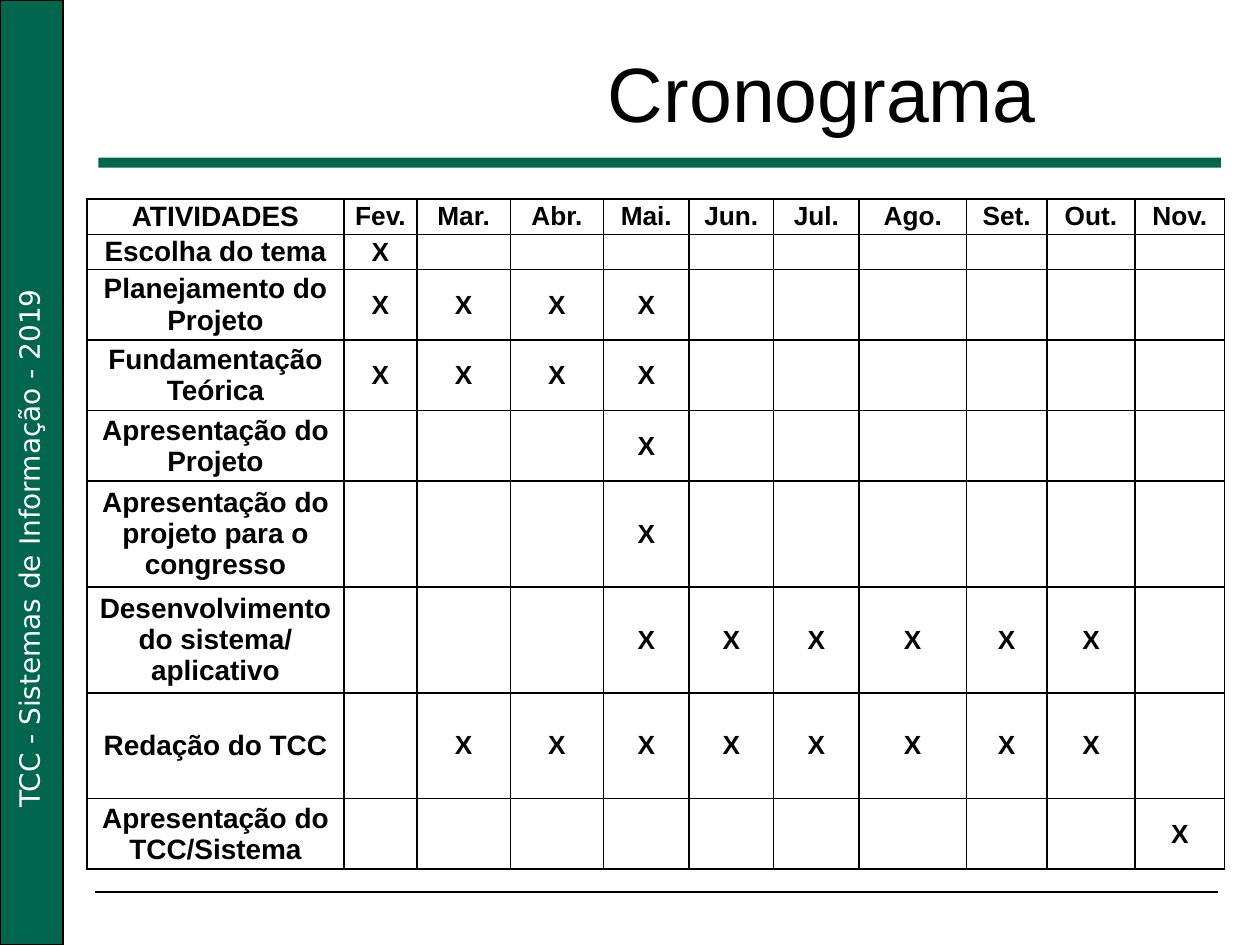
from lxml import etree
from pptx import Presentation
from pptx import util as u
from pptx.dml.color import RGBColor
from pptx.enum import shapes, text
from pptx.oxml import ns

GREEN, BLACK, WHITE = "00664D", "000000", "FFFFFF"
MONTHS = ["Fev.", "Mar.", "Abr.", "Mai.", "Jun.", "Jul.", "Ago.", "Set.", "Out.", "Nov."]
# activity, row height, first and last marked month (counted from 1)
ACTIVITIES = [
    ("Escolha do tema", 0.28, 1, 1),
    ("Planejamento do Projeto", 0.56, 1, 4),
    ("Fundamentação Teórica", 0.56, 1, 4),
    ("Apresentação do Projeto", 0.56, 4, 4),
    ("Apresentação do projeto para o congresso", 0.84, 4, 4),
    ("Desenvolvimento do sistema/ aplicativo", 0.84, 4, 9),
    ("Redação do TCC", 0.84, 2, 9),
    ("Apresentação do TCC/Sistema", 0.56, 10, 10),
]
COLUMN_WIDTHS = [2.04, 0.58, 0.74, 0.74, 0.68, 0.67, 0.68, 0.85, 0.64, 0.7, 0.71]
HEADER_HEIGHT = 0.28
CELL_FORMAT = {
    "margin_left": u.Inches(0.07), "margin_right": u.Inches(0.07),
    "margin_top": 0, "margin_bottom": 0,
    "vertical_anchor": text.MSO_ANCHOR.MIDDLE,
}


def color(hex_value):
    return RGBColor.from_string(hex_value)


def inches(*values):
    return [u.Inches(value) for value in values]


def apply(target, values):
    for name, value in values.items():
        setattr(target, name, value)


def write(paragraph, words, size, font="Arial", ink=BLACK, **extra):
    run = paragraph.add_run()
    run.text = words
    apply(run.font, {"size": u.Pt(size), "name": font, **extra})
    run.font.color.rgb = color(ink)


def add_bar(slide, box, outlined=False):
    bar = slide.shapes.add_shape(shapes.MSO_SHAPE.RECTANGLE, *inches(*box))
    bar.shadow.inherit = False
    bar.fill.solid()
    bar.fill.fore_color.rgb = color(GREEN)
    if outlined:
        bar.line.color.rgb = color(BLACK)
        bar.line.width = u.Pt(0.75)
    else:
        bar.line.fill.background()


def add_sidebar(slide, left, top, width, height):
    add_bar(slide, (left, top, width, height), outlined=True)
    # Course name, reading upwards
    length, thickness = 4.48, 0.37
    center_x, center_y = left + width / 2 - 0.02, top + height / 2 + 0.52
    course = slide.shapes.add_textbox(*inches(
        center_x - length / 2, center_y - thickness / 2, length, thickness))
    course.rotation = 270
    course.text_frame.word_wrap = False
    write(course.text_frame.paragraphs[0], "TCC - Sistemas de Informação - 2019",
          16, "DejaVu Sans", WHITE)


def add_footer_line(slide, left, top, width):
    rule = slide.shapes.add_connector(
        shapes.MSO_CONNECTOR.STRAIGHT, *inches(left, top, left + width, top))
    rule.line.color.rgb = color(BLACK)
    rule.line.width = u.Pt(0.75)
    etree.SubElement(rule._element.spPr, ns.qn("a:effectLst"))


def place_title(slide, left, top, width, height):
    title = slide.shapes.title
    apply(title, dict(zip(("left", "top", "width", "height"),
                          inches(left, top, width, height))))
    title.text_frame.vertical_anchor = text.MSO_ANCHOR.MIDDLE
    heading = title.text_frame.paragraphs[0]
    heading.alignment = text.PP_ALIGN.CENTER
    write(heading, "Cronograma", 44)


def add_borders(cell):
    # Border lines come before the fill in the cell properties
    properties = cell._tc.get_or_add_tcPr()
    for position, side in enumerate(("lnL", "lnR", "lnT", "lnB")):
        edge = etree.Element(ns.qn(f"a:{side}"), w=str(u.Pt(1)))
        fill = etree.SubElement(edge, ns.qn("a:solidFill"))
        etree.SubElement(fill, ns.qn("a:srgbClr"), val=BLACK)
        properties.insert(position, edge)


def fill_cell(cell, words, size):
    apply(cell, CELL_FORMAT)
    cell.fill.background()
    add_borders(cell)
    paragraph = cell.text_frame.paragraphs[0]
    paragraph.alignment = text.PP_ALIGN.CENTER
    if words:
        write(paragraph, words, size, bold=True)
    else:
        # Keeps unmarked cells from stretching the low rows
        etree.SubElement(paragraph._p, ns.qn("a:endParaRPr"), sz=str(size * 100))


def add_schedule(slide, left, top, width, height):
    rows = [["ATIVIDADES"] + MONTHS]
    for activity, _, first, last in ACTIVITIES:
        rows.append([activity] + ["X" if first <= month <= last else ""
                                  for month in range(1, len(MONTHS) + 1)])
    schedule = slide.shapes.add_table(
        len(rows), len(COLUMN_WIDTHS), *inches(left, top, width, height)).table
    apply(schedule, {"first_row": False, "horz_banding": False})
    for column, column_width in zip(schedule.columns, COLUMN_WIDTHS):
        column.width = u.Inches(column_width)
    row_heights = [HEADER_HEIGHT] + [activity[1] for activity in ACTIVITIES]
    for row, row_height, entries in zip(schedule.rows, row_heights, rows):
        row.height = u.Inches(row_height)
        for index, (cell, words) in enumerate(zip(row.cells, entries)):
            fill_cell(cell, words, 15 if index else 16)


def build_schedule_slide(deck):
    slide = deck.slides.add_slide(deck.slide_layouts[5])
    slide.background.fill.solid()
    slide.background.fill.fore_color.rgb = color(WHITE)
    add_sidebar(slide, 0, 0, 0.5, 7.5)
    add_footer_line(slide, 0.75, 7.08, 8.92)
    add_bar(slide, (0.78, 1.25, 8.91, 0.08))
    place_title(slide, 3.44, 0.23, 6.17, 1)
    add_schedule(slide, 0.69, 1.58, 9.05, 5.34)


deck = Presentation()
deck.slide_width, deck.slide_height = inches(10, 7.5)
build_schedule_slide(deck)
deck.save("out.pptx")
